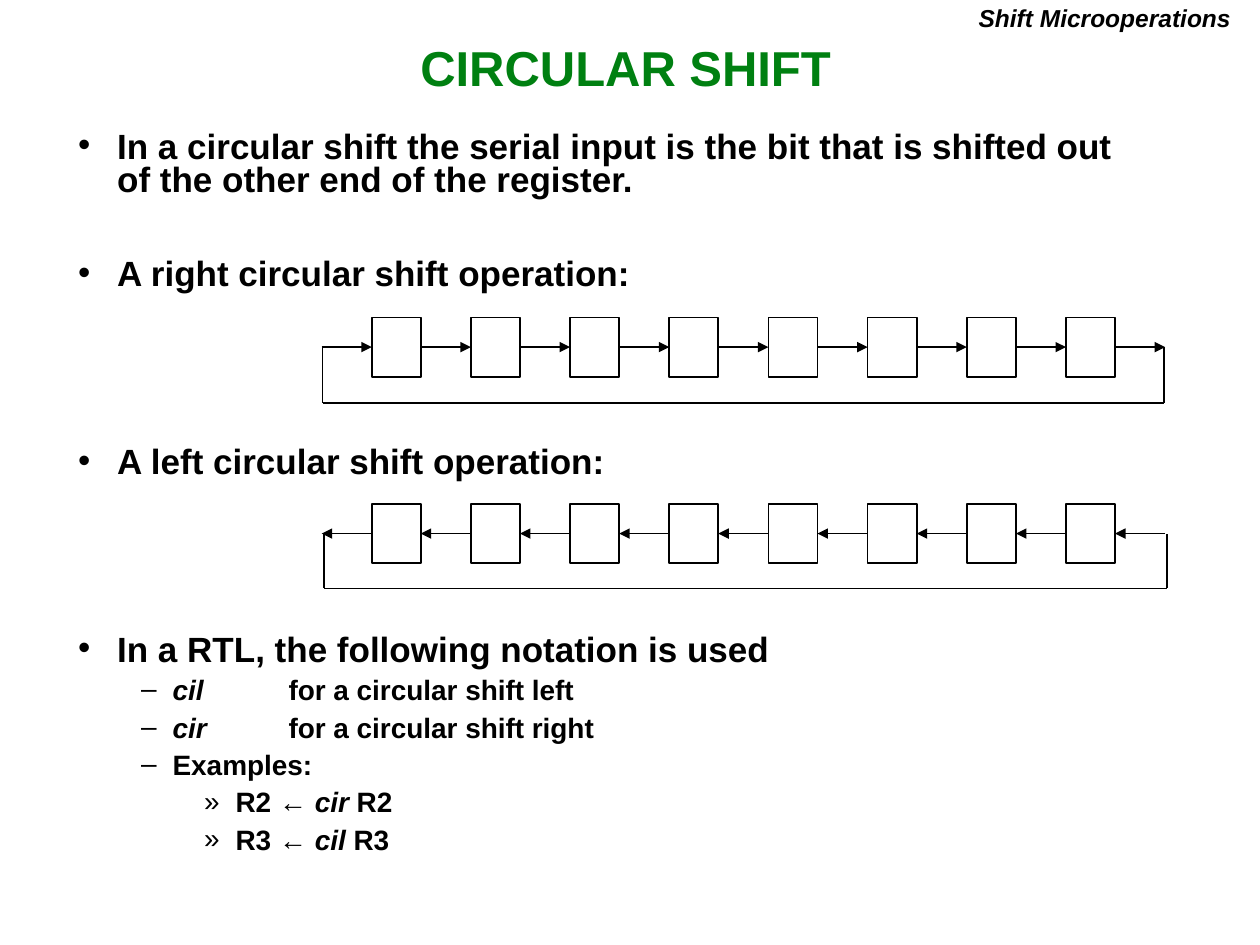
from lxml.etree import SubElement
from pptx import Presentation
from pptx.dml.color import RGBColor
from pptx.enum.shapes import MSO_CONNECTOR, MSO_SHAPE
from pptx.enum.text import MSO_ANCHOR, MSO_AUTO_SIZE, PP_ALIGN
from pptx.oxml.ns import qn
from pptx.util import Inches, Pt

BLACK = RGBColor(0x00, 0x00, 0x00)
GREEN = RGBColor(0x00, 0x80, 0x11)
FONT = "Arial"

# Content: (level, space before in points, [(text, italic), ...])
TITLE = "CIRCULAR SHIFT"
TOPIC = "Shift Microoperations"
BODY = [
    (0, 0, [("In a circular shift the serial input is the bit that is shifted out "
             "of the other end of the register.", False)]),
    (0, 34.5, [("A right circular shift operation:", False)]),
    (0, 88, [("A left circular shift operation:", False)]),
    (0, 88, [("In a RTL, the following notation is used", False)]),
    (1, 6, [("cil\t", True), ("for a circular shift left", False)]),
    (1, 6, [("cir\t", True), ("for a circular shift right", False)]),
    (1, 6, [("Examples:", False)]),
    (2, 6, [("R2 ← ", False), ("cir", True), (" R2", False)]),
    (2, 6, [("R3 ← ", False), ("cil", True), (" R3", False)]),
]
# Per level: bullet, text indent, hanging indent, text size
LEVELS = [("•", 0.31, 0.31, 20), ("–", 0.75, 0.25, 16), ("»", 1.25, 0.25, 16)]
NOTATION_TAB = 1.67

# Registers: (top of cells, left and right of return path, its bottom, shifts right)
REGISTERS = [(2.52, 2.56, 9.24, 3.20, True), (4.00, 2.57, 9.26, 4.67, False)]
CELL_COUNT = 8
CELL_LEFT, LAST_CELL_LEFT = 2.95, 8.46
CELL_WIDTH, CELL_HEIGHT = 0.39, 0.47
CELL_PITCH = (LAST_CELL_LEFT - CELL_LEFT) / (CELL_COUNT - 1)


def place(shape, left, top, width, height):
    shape.left, shape.top = Inches(left), Inches(top)
    shape.width, shape.height = Inches(width), Inches(height)


def set_frame(frame, side, edge, wrap=True):
    frame.margin_left = frame.margin_right = Inches(side)
    frame.margin_top = frame.margin_bottom = Inches(edge)
    frame.word_wrap = wrap
    frame.auto_size = MSO_AUTO_SIZE.NONE


def add_run(paragraph, text, size, color=BLACK, italic=False):
    run = paragraph.add_run()
    run.text = text
    font = run.font
    font.name, font.size = FONT, Pt(size)
    font.bold, font.italic = True, italic
    font.color.rgb = color


def add_bullet(paragraph, character, indent, hanging):
    properties = paragraph._p.get_or_add_pPr()
    properties.set("marL", str(Inches(indent)))
    properties.set("indent", str(-Inches(hanging)))
    color = SubElement(properties, qn("a:buClr"))
    SubElement(color, qn("a:srgbClr"), val=str(BLACK))
    SubElement(properties, qn("a:buFont"), typeface=FONT)
    SubElement(properties, qn("a:buChar"), char=character)
    tabs = SubElement(properties, qn("a:tabLst"))
    SubElement(tabs, qn("a:tab"), pos=str(Inches(NOTATION_TAB)), algn="l")


def add_line(group, start, end, arrow=False):
    points = [Inches(value) for value in (*start, *end)]
    connector = group.shapes.add_connector(MSO_CONNECTOR.STRAIGHT, *points)
    connector.line.color.rgb = BLACK
    connector.line.width = Pt(1)
    if arrow:
        SubElement(connector.line._get_or_add_ln(), qn("a:tailEnd"), type="triangle")
    SubElement(connector._element.spPr, qn("a:effectLst"))


def add_register(slide, top, path_left, path_right, path_bottom, shifts_right):
    group = slide.shapes.add_group_shape()
    middle = top + CELL_HEIGHT / 2
    # Cells
    for index in range(CELL_COUNT):
        cell = group.shapes.add_shape(MSO_SHAPE.RECTANGLE, 0, 0, 0, 0)
        place(cell, CELL_LEFT + index * CELL_PITCH, top, CELL_WIDTH, CELL_HEIGHT)
        cell.shadow.inherit = False
        cell.fill.background()
        cell.line.color.rgb = BLACK
        cell.line.width = Pt(1)
    # Arrows before, between and after the cells
    for index in range(CELL_COUNT + 1):
        right = CELL_LEFT + index * CELL_PITCH
        left = right - CELL_PITCH + CELL_WIDTH
        ends = [(left, middle), (right, middle)]
        add_line(group, *(ends if shifts_right else ends[::-1]), arrow=True)
    # Return path from one end to the other
    corners = [(path_left, middle), (path_left, path_bottom),
               (path_right, path_bottom), (path_right, middle)]
    for start, end in zip(corners, corners[1:]):
        add_line(group, start, end)


def main():
    presentation = Presentation()
    presentation.slide_width, presentation.slide_height = Inches(10), Inches(7.5)
    slide = presentation.slides.add_slide(presentation.slide_layouts[1])

    # Title
    title = slide.shapes.title
    place(title, 0.16, 0.32, 9.61, 0.48)
    set_frame(title.text_frame, 0.07, 0.03)
    title.text_frame.vertical_anchor = MSO_ANCHOR.TOP
    paragraph = title.text_frame.paragraphs[0]
    paragraph.alignment, paragraph.line_spacing = PP_ALIGN.CENTER, 0.9
    add_run(paragraph, TITLE, 28, GREEN)

    # Topic in the corner
    topic = slide.shapes.add_textbox(0, 0, 0, 0)
    place(topic, 7.67, 0, 2.2, 0.31)
    set_frame(topic.text_frame, 0.1, 0.05, wrap=False)
    paragraph = topic.text_frame.paragraphs[0]
    paragraph.alignment, paragraph.line_spacing = PP_ALIGN.RIGHT, 0.9
    add_run(paragraph, TOPIC, 14, italic=True)

    # Body list
    body = slide.placeholders[1]
    place(body, 0.52, 1, 8.74, 6.19)
    frame = body.text_frame
    set_frame(frame, 0.1, 0.05)
    frame.vertical_anchor = MSO_ANCHOR.TOP
    for index, (level, space, runs) in enumerate(BODY):
        paragraph = frame.add_paragraph() if index else frame.paragraphs[0]
        character, indent, hanging, size = LEVELS[level]
        add_bullet(paragraph, character, indent, hanging)
        paragraph.level = level
        paragraph.line_spacing, paragraph.space_before = 0.8, Pt(space)
        for text, italic in runs:
            add_run(paragraph, text, size, italic=italic)

    # Shift registers
    for register in REGISTERS:
        add_register(slide, *register)

    presentation.save("out.pptx")


if __name__ == "__main__":
    main()
